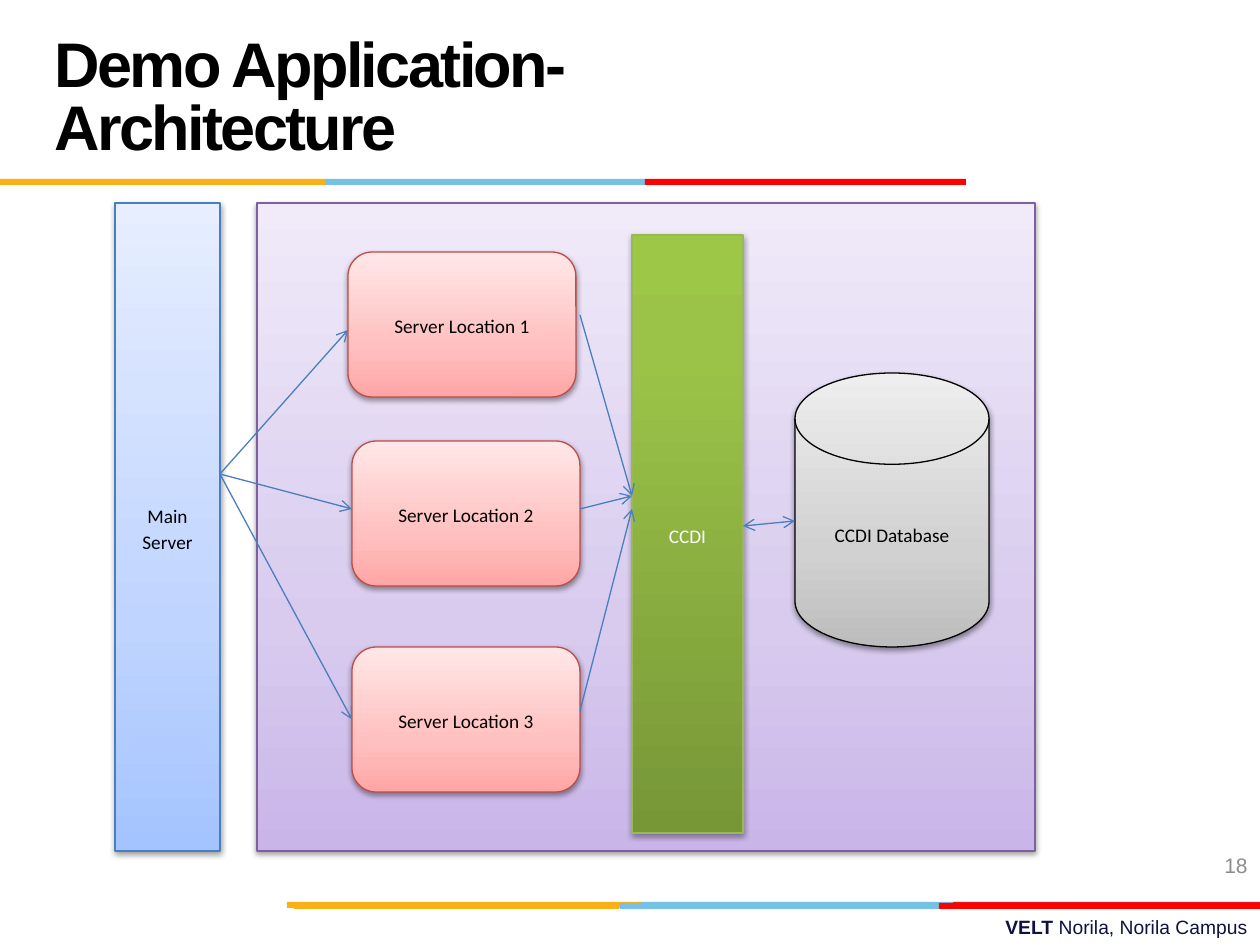
from lxml.etree import SubElement
from pptx import Presentation
from pptx.dml.color import RGBColor
from pptx.enum.shapes import MSO_CONNECTOR, MSO_SHAPE
from pptx.enum.text import MSO_ANCHOR, PP_ALIGN
from pptx.oxml.ns import qn
from pptx.util import Emu, Pt

PX = 914400 / 126

BLACK = RGBColor(0x00, 0x00, 0x00)
WHITE = RGBColor(0xFF, 0xFF, 0xFF)
GREY = RGBColor(0x8C, 0x8C, 0x8C)
NAVY = RGBColor(0x10, 0x11, 0x41)
ARROW_BLUE = RGBColor(0x4B, 0x7E, 0xBC)
SKY = RGBColor(0x76, 0xC2, 0xE5)
AMBER = RGBColor(0xFC, 0xB0, 0x17)
CRIMSON = RGBColor(0xE3, 0x1C, 0x24)
RED = RGBColor(0xFF, 0x00, 0x00)

# Look: line colour, text colour, gradient stops (percent, colour) from the bottom up
LOOKS = {
    "blue": (ARROW_BLUE, BLACK, [(0, "A4C4FF"), (35, "BFD4FF"), (100, "E6EEFF")]),
    "purple": (RGBColor(0x7D, 0x60, 0xA0), BLACK,
               [(0, "C9B5E8"), (35, "D8CBEE"), (100, "F0EAF9")]),
    "red": (RGBColor(0xBF, 0x4C, 0x48), BLACK,
            [(0, "FFA6A5"), (35, "FFC0BF"), (100, "FFE7E7")]),
    "grey": (BLACK, BLACK, [(0, "BDBDBD"), (35, "D1D1D1"), (100, "EEEEEE")]),
    "green": (RGBColor(0x98, 0xB9, 0x55), WHITE,
              [(0, "779737"), (80, "9BC348"), (100, "9DC746")]),
}

TITLE = "Demo Application- Architecture"
FOOTER = [("VELT ", True), ("Norila, Norila Campus", False)]
PAGE_NUMBER = "18"

# Stripes: top, then left, width and colour of each piece
STRIPES = [
    (902, [(638, 321, SKY), (953, 307, CRIMSON), (287, 355, AMBER)]),
    (903, [(620, 321, SKY), (294, 325, AMBER), (939, 321, RED)]),
    (179, [(325, 321, SKY), (0, 325, AMBER), (645, 321, RED)]),
]
STRIPE_HEIGHT = 6

# Blocks: name, text, preset, look, (left, top, width, height)
RECT, ROUND, DISK = (MSO_SHAPE.RECTANGLE, MSO_SHAPE.ROUNDED_RECTANGLE,
                     MSO_SHAPE.FLOWCHART_MAGNETIC_DISK)
BLOCKS = [
    ("main", "Main Server", RECT, "blue", (115, 203, 105, 648)),
    ("site", "", RECT, "purple", (257, 203, 778, 648)),
    ("location 1", "Server Location 1", ROUND, "red", (348, 252, 228, 145)),
    ("location 2", "Server Location 2", ROUND, "red", (352, 441, 228, 145)),
    ("location 3", "Server Location 3", ROUND, "red", (352, 647, 228, 145)),
    ("database", "CCDI Database", DISK, "grey", (795, 373, 194, 274)),
    ("ccdi", "CCDI", RECT, "green", (632, 235, 111, 598)),
]

# Arrows: start, end, both ends pointed, block whose left middle is joined
MAIN_PORT, CCDI_PORT = (220, 474), (632, 496)
ARROWS = [
    (MAIN_PORT, (348, 330), False, None),
    (MAIN_PORT, (352, 509), False, None),
    (MAIN_PORT, (352, 719), False, "location 3"),
    ((580, 315), CCDI_PORT, False, None),
    ((580, 509), CCDI_PORT, False, None),
    ((580, 711), (632, 509), False, None),
    ((743, 526), (795, 521), True, None),
]


def px(*lengths):
    return [Emu(round(length * PX)) for length in lengths]


def style(para, size, color, name, bold=None):
    for span in para.runs:
        span.font.size, span.font.name = Pt(size), name
        span.font.color.rgb, span.font.bold = color, bold


def set_gradient(shape, stops):
    shape.fill.gradient()
    shape.fill.gradient_angle = 90
    stop_list = shape._element.spPr.find(".//" + qn("a:gsLst"))
    for stop in list(stop_list):
        stop_list.remove(stop)
    for percent, color in stops:
        stop = SubElement(stop_list, qn("a:gs"), pos=str(percent * 1000))
        SubElement(stop, qn("a:srgbClr"), val=color)


def add_shadow(shape):
    shape.shadow.inherit = False
    effects = shape._element.spPr.find(qn("a:effectLst"))
    shadow = SubElement(effects, qn("a:outerShdw"), blurRad="40000", dist="20000",
                        dir="5400000", rotWithShape="0")
    color = SubElement(shadow, qn("a:srgbClr"), val="000000")
    SubElement(color, qn("a:alpha"), val="38000")


def add_stripes(page):
    for top, pieces in STRIPES:
        for left, width, color in pieces:
            bar = page.shapes.add_shape(RECT, *px(left, top, width, STRIPE_HEIGHT))
            bar.shadow.inherit = False
            bar.fill.solid()
            bar.fill.fore_color.rgb = color
            bar.line.fill.background()


def add_block(page, text, preset, look, place):
    line_color, text_color, stops = LOOKS[look]
    block = page.shapes.add_shape(preset, *px(*place))
    set_gradient(block, stops)
    block.line.color.rgb, block.line.width = line_color, Pt(0.75)
    add_shadow(block)
    if text:
        block.text_frame.text = text
        block.text_frame.vertical_anchor = MSO_ANCHOR.MIDDLE
        para = block.text_frame.paragraphs[0]
        para.alignment = PP_ALIGN.CENTER
        para.line_spacing, para.space_after = 1.15, Pt(10)
        style(para, 11, text_color, "Calibri")
    return block


def add_arrow(page, start, end, two_way, target):
    arrow = page.shapes.add_connector(MSO_CONNECTOR.STRAIGHT, *px(*start, *end))
    if target is not None:
        arrow.end_connect(target, 1)
    arrow.line.color.rgb, arrow.line.width = ARROW_BLUE, Pt(0.75)
    line = arrow.line._get_or_add_ln()
    for tip in ("a:headEnd", "a:tailEnd") if two_way else ("a:tailEnd",):
        SubElement(line, qn(tip), type="arrow")
    SubElement(arrow._element.spPr, qn("a:effectLst"))


def add_right_text(page, place, pieces, size, color):
    box = page.shapes.add_textbox(*px(*place))
    box.text_frame.word_wrap = True
    box.text_frame.vertical_anchor = MSO_ANCHOR.MIDDLE
    para = box.text_frame.paragraphs[0]
    para.alignment = PP_ALIGN.RIGHT
    for text, _ in pieces:
        para.add_run().text = text
    style(para, size, color, "Arial")
    for span, (_, bold) in zip(para.runs, pieces):
        span.font.bold = bold


def format_title(title):
    title.left, title.top, title.width, title.height = px(42, 21, 872, 158)
    title.text_frame.text = TITLE
    title.text_frame.vertical_anchor = MSO_ANCHOR.MIDDLE
    para = title.text_frame.paragraphs[0]
    para.alignment, para.line_spacing = PP_ALIGN.LEFT, Pt(36)
    style(para, 36, BLACK, "Arial", True)
    para.runs[0].font._element.set("spc", "-150")


def main():
    deck = Presentation()
    deck.slide_width, deck.slide_height = px(1260, 945)
    page = deck.slides.add_slide(deck.slide_layouts[5])
    add_right_text(page, (451, 908, 809, 37), FOOTER, 11, NAVY)
    add_stripes(page)
    format_title(page.shapes.title)
    add_right_text(page, (966, 840, 294, 50), [(PAGE_NUMBER, False)], 12, GREY)
    blocks = {name: add_block(page, *rest) for name, *rest in BLOCKS}
    for start, end, two_way, target in ARROWS:
        add_arrow(page, start, end, two_way, blocks.get(target))
    deck.save("out.pptx")


if __name__ == "__main__":
    main()
